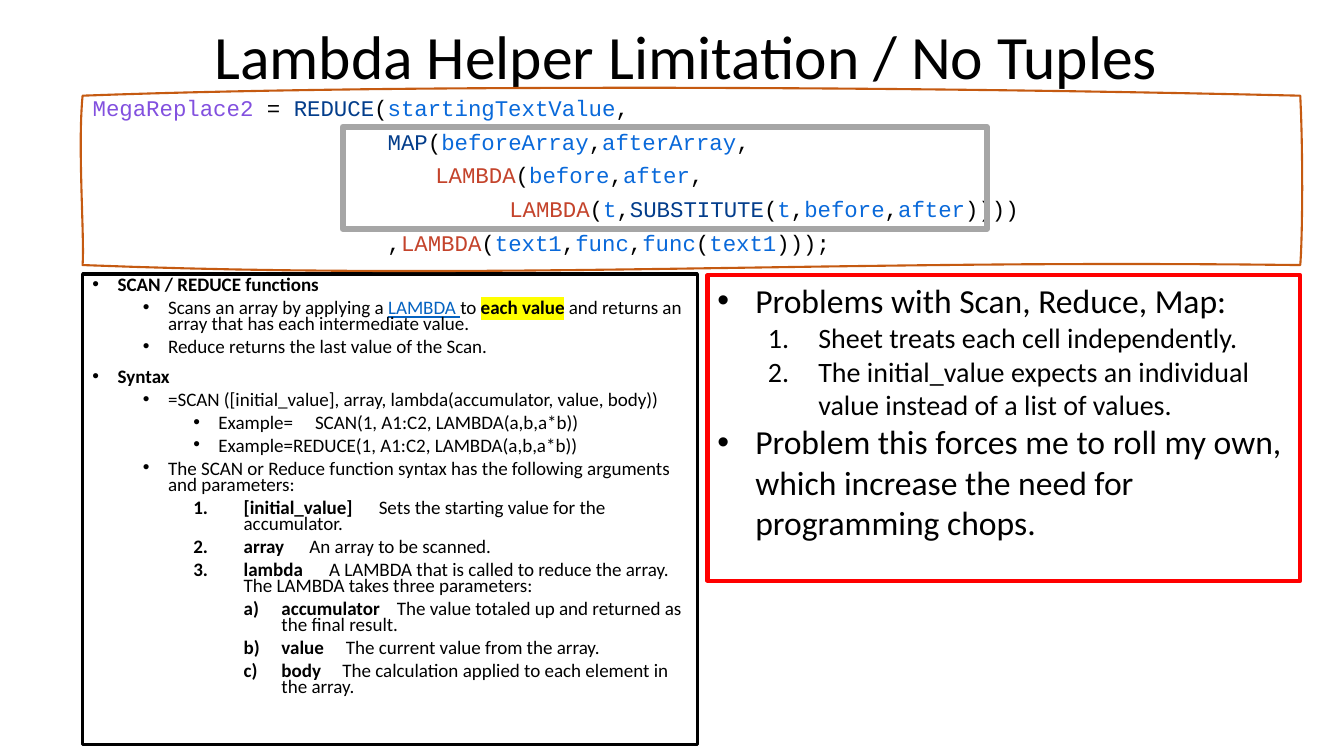
from collections import namedtuple
from dataclasses import dataclass
from itertools import groupby

from lxml.etree import SubElement
from pptx import Presentation
from pptx.dml.color import RGBColor as RGB
from pptx.enum.shapes import MSO_SHAPE as Shape
from pptx.enum.text import MSO_ANCHOR as Anchor, MSO_AUTO_SIZE as AutoSize, PP_ALIGN as Align
from pptx.oxml.ns import qn
from pptx.util import Pt


@dataclass(frozen=True)
class Theme:
    body_font: str = "Calibri"
    code_font: str = "Courier New"
    title_size: float = 44
    code_size: float = 16
    syntax_size: float = 13.6
    problem_size: float = 24
    detail_size: float = 20
    text: str = "000000"
    link: str = "0563C1"
    highlight: str = "FFFF00"
    code_name: str = "8250DF"
    code_function: str = "033D8B"
    code_lambda: str = "C4432B"
    code_variable: str = "0969DA"
    sketch_line: str = "C55A11"
    problem_line: str = "FF0000"
    frame_line: str = "A6A6A6"


THEME = Theme()
Level = namedtuple("Level", "depth left hang before size marker")

# List levels, with indents and spacing in points
HEAD = Level(0, 18, 18, 10, THEME.syntax_size, "•")
POINT = Level(1, 54, 18, 5, THEME.syntax_size, "•")
EXAMPLE = Level(2, 90, 18, 5, THEME.syntax_size, "•")
ARGUMENT = Level(2, 108, 36, 5, THEME.syntax_size, "arabicPeriod")
PARAMETER = Level(3, 135, 27, 5, THEME.syntax_size, "alphaLcParenR")
PROBLEM = Level(0, 27, 27, 0, THEME.problem_size, "•")
DETAIL = Level(1, 72, 36, 0, THEME.detail_size, "arabicPeriod")

# Each item: level, (text, role) pairs, tab stops in points
SYNTAX = [
    (HEAD, [("SCAN / REDUCE functions", "bold")], []),
    (POINT, [("Scans an array by applying a ", ""), ("LAMBDA ", "link"), ("to ", ""),
             ("each value", "mark"),
             (" and returns an array that has each intermediate value.", "")], []),
    (POINT, [("Reduce returns the last value of the Scan.", "")], []),
    (HEAD, [("Syntax", "bold")], []),
    (POINT, [("=SCAN ([initial_value], array, lambda(accumulator, value, body))", "")], []),
    (EXAMPLE, [("Example=\tSCAN(1, A1:C2, LAMBDA(a,b,a*b))", "")], [159]),
    (EXAMPLE, [("Example=REDUCE(1, A1:C2, LAMBDA(a,b,a*b))", "")], []),
    (POINT, [("The SCAN or Reduce function syntax has the following arguments "
              "and parameters:", "")], []),
    (ARGUMENT, [("[initial_value]", "bold"),
                ("\tSets the starting value for the accumulator.", "")], [204.5]),
    (ARGUMENT, [("array", "bold"), ("\tAn array to be scanned.", "")], [155]),
    (ARGUMENT, [("lambda", "bold"),
                ("\tA LAMBDA that is called to reduce the array. "
                 "The LAMBDA takes three parameters:", "")], [169]),
    (PARAMETER, [("accumulator", "bold"),
                 ("\tThe value totaled up and returned as the final result.", "")], [217.5]),
    (PARAMETER, [("value", "bold"), ("\tThe current value from the array.", "")], [181]),
    (PARAMETER, [("body", "bold"),
                 ("\tThe calculation applied to each element in the array.", "")], [178.5]),
]
PROBLEMS = [
    (PROBLEM, [("Problems with Scan, Reduce, Map:", "")], []),
    (DETAIL, [("Sheet treats each cell independently.", "")], []),
    (DETAIL, [("The initial_value expects an individual value instead of "
               "a list of values.", "")], []),
    (PROBLEM, [("Problem this forces me to roll my own, which increase the need for "
                "programming chops.", "")], []),
]
CODE = [
    "MegaReplace2 = REDUCE(startingTextValue,",
    "                      MAP(beforeArray,afterArray,",
    "                      \t   LAMBDA(before,after,",
    "\t\t\t\t LAMBDA(t,SUBSTITUTE(t,before,after))))",
    "                      ,LAMBDA(text1,func,func(text1)));",
]
CODE_TABS = [72, 144, 216, 288]
CODE_ORIGIN = (66.2, 72)
# Hand-drawn outline: start point, then cubic curves, in points
SKETCH_START = (59, 68.4)
SKETCH_CURVES = [
    ((246.2, 61.2), (596.9, 60.5), (928.8, 68.4)),
    ((931, 115.9), (930.2, 171.4), (928.8, 189.4)),
    ((590.4, 185), (358.6, 200.9), (59, 189.4)),
    ((60.5, 169.9), (55.4, 106.6), (59, 68.4)),
]


def style_run(run, font, size, color, role=""):
    run.font.size = Pt(size)
    run.font.bold = role in ("bold", "mark")
    run.font.color.rgb = RGB.from_string(color)
    if role == "link":
        run.font.underline = True
    if role == "mark":
        mark = SubElement(run.font._element, qn("a:highlight"))
        SubElement(mark, qn("a:srgbClr"), val=THEME.highlight)
    run.font.name = font


def outline(shape, color, width):
    shape.fill.background()
    shape.line.color.rgb = RGB.from_string(color)
    shape.line.width = Pt(width)


def next_paragraph(frame, index):
    return frame.paragraphs[0] if index == 0 else frame.add_paragraph()


def set_tabs(paragraph, positions):
    if positions:
        stops = SubElement(paragraph._p.get_or_add_pPr(), qn("a:tabLst"))
        for position in positions:
            SubElement(stops, qn("a:tab"), pos=str(Pt(position)), algn="l")


def set_marker(paragraph, level):
    props = paragraph._p.get_or_add_pPr()
    props.set("marL", str(Pt(level.left)))
    props.set("indent", str(-Pt(level.hang)))
    if level.marker == "•":
        SubElement(props, qn("a:buFont"), typeface="Arial")
        SubElement(props, qn("a:buChar"), char=level.marker)
    else:
        SubElement(props, qn("a:buAutoNum"), type=level.marker)


def add_title(slide, text):
    title = slide.shapes.title
    title.left, title.top, title.width, title.height = Pt(59), Pt(8.6), Pt(862.6), Pt(67.7)
    frame = title.text_frame
    frame.text = text
    frame.auto_size = AutoSize.NONE
    frame.vertical_anchor = Anchor.MIDDLE
    heading = frame.paragraphs[0]
    heading.alignment = Align.CENTER
    heading.line_spacing = 0.9
    style_run(heading.runs[0], THEME.body_font, THEME.title_size, THEME.text)


def add_list_box(slide, box, items, line_color, width, spacing):
    panel = slide.shapes.add_textbox(*map(Pt, box))
    outline(panel, line_color, width)
    frame = panel.text_frame
    frame.word_wrap = True
    for index, (level, parts, tabs) in enumerate(items):
        item = next_paragraph(frame, index)
        item.level = level.depth
        set_marker(item, level)
        set_tabs(item, tabs)
        item.line_spacing = spacing
        item.space_before = Pt(level.before if index else 0)
        for text, role in parts:
            run = item.add_run()
            run.text = text
            color = THEME.link if role == "link" else THEME.text
            style_run(run, THEME.body_font, level.size, color, role)


def curve_points(start, curves, steps=24):
    for first, second, end in curves:
        for step in range(1, steps + 1):
            t = step / steps
            weights = ((1 - t) ** 3, 3 * t * (1 - t) ** 2, 3 * t * t * (1 - t), t ** 3)
            corners = (start, first, second, end)
            yield tuple(Pt(sum(w * c[axis] for w, c in zip(weights, corners)))
                        for axis in (0, 1))
        start = end


def code_color(word):
    if not word.isalnum():
        return THEME.text
    if word == "LAMBDA":
        return THEME.code_lambda
    if word.isupper():
        return THEME.code_function
    return THEME.code_name if word[0].isupper() else THEME.code_variable


def add_code_sketch(slide):
    builder = slide.shapes.build_freeform(*map(Pt, SKETCH_START))
    builder.add_line_segments(list(curve_points(SKETCH_START, SKETCH_CURVES)))
    sketch = builder.convert_to_shape()
    sketch.shadow.inherit = False
    outline(sketch, THEME.sketch_line, 1.5)
    frame = sketch.text_frame
    frame.word_wrap = True
    frame.vertical_anchor = Anchor.TOP
    frame.margin_left = Pt(CODE_ORIGIN[0]) - sketch.left
    frame.margin_top = Pt(CODE_ORIGIN[1]) - sketch.top
    for index, text in enumerate(CODE):
        line = next_paragraph(frame, index)
        set_tabs(line, CODE_TABS)
        line.alignment = Align.LEFT
        line.line_spacing = Pt(14.2)
        line.space_before = Pt(10 if index else 0)
        for _, letters in groupby(text, str.isalnum):
            token = line.add_run()
            token.text = "".join(letters)
            style_run(token, THEME.code_font, THEME.code_size, code_color(token.text))


def add_frame(slide, box):
    frame = slide.shapes.add_shape(Shape.RECTANGLE, *map(Pt, box))
    frame.shadow.inherit = False
    outline(frame, THEME.frame_line, 4.5)


def main():
    deck = Presentation()
    deck.slide_width, deck.slide_height = Pt(960), Pt(540)
    slide = deck.slides.add_slide(deck.slide_layouts[5])
    add_title(slide, "Lambda Helper Limitation / No Tuples")
    # Syntax notes, code and problems
    add_list_box(slide, (59, 195.8, 439.2, 336.2), SYNTAX, THEME.text, 2.25, 0.7)
    add_code_sketch(slide)
    add_list_box(slide, (505.4, 196.6, 423.4, 218.2), PROBLEMS, THEME.problem_line, 3, 1.0)
    # Frame around the MAP call
    add_frame(slide, (244.8, 90.7, 460.1, 72.7))
    deck.save("out.pptx")


if __name__ == "__main__":
    main()
